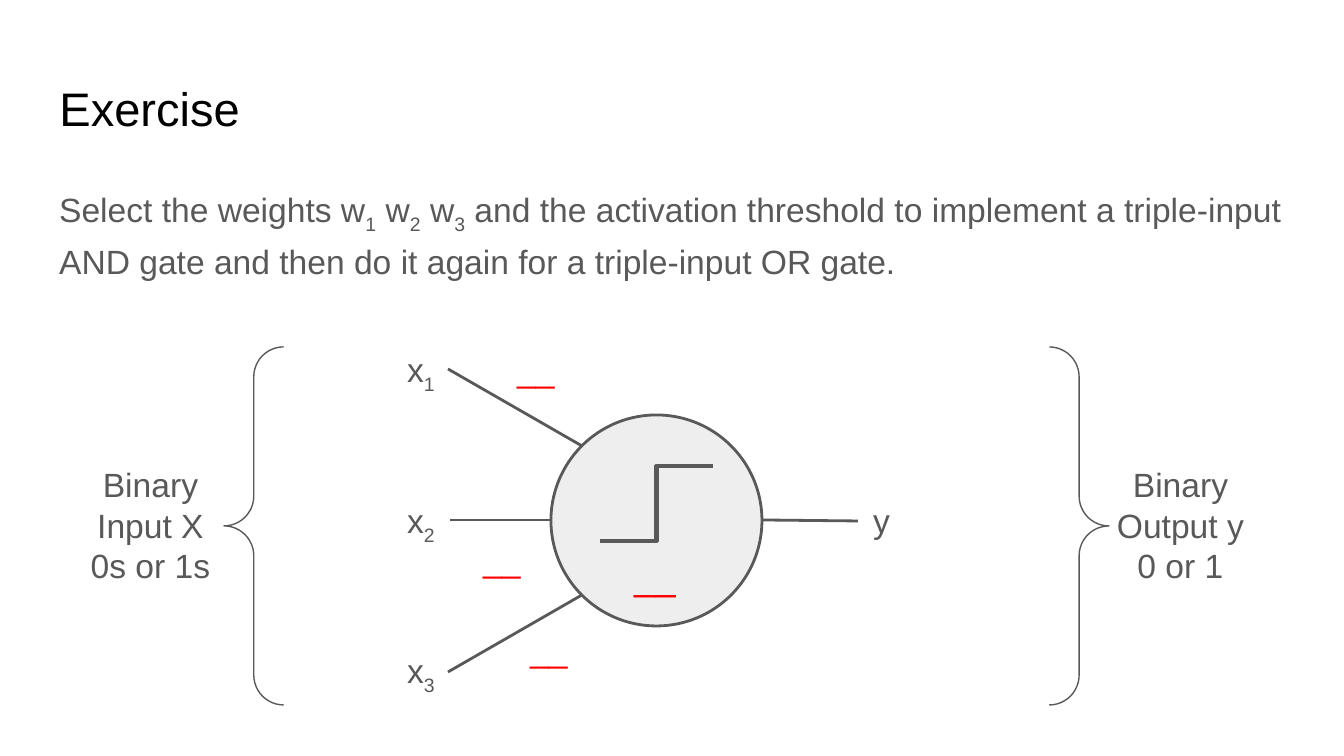
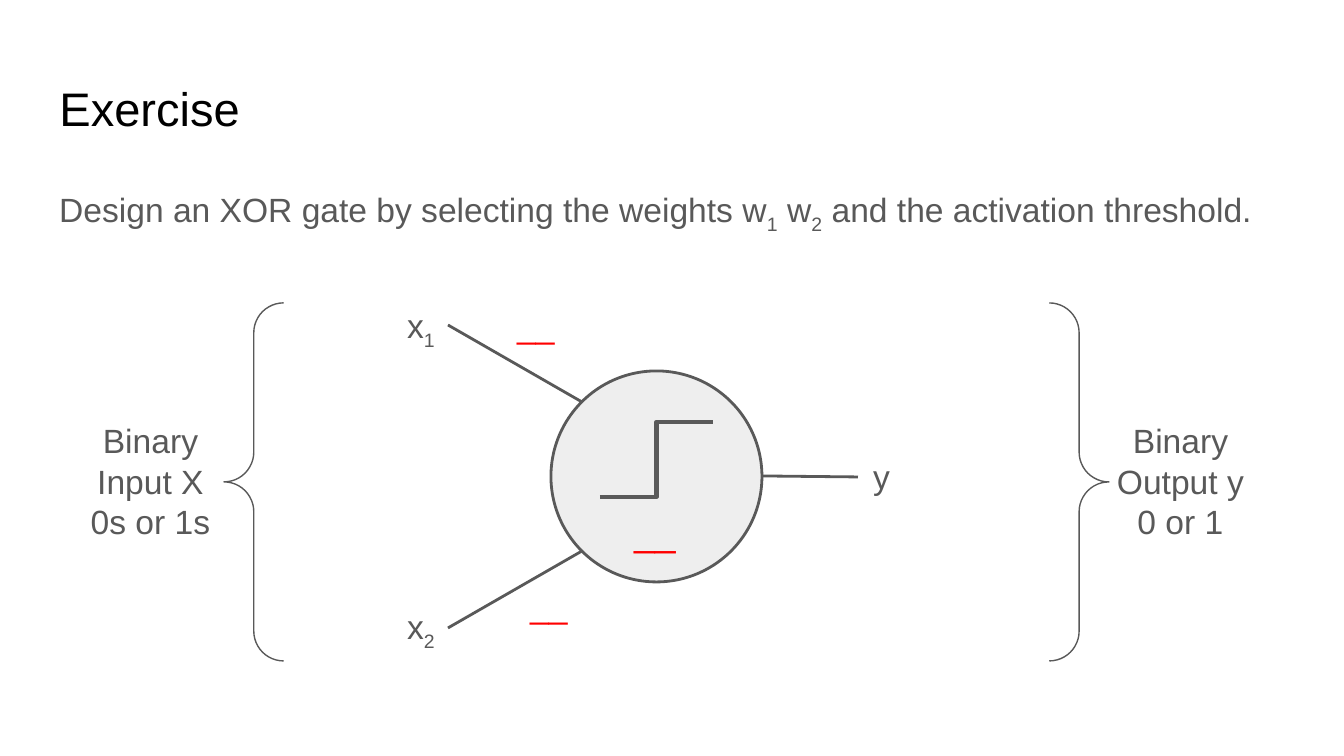
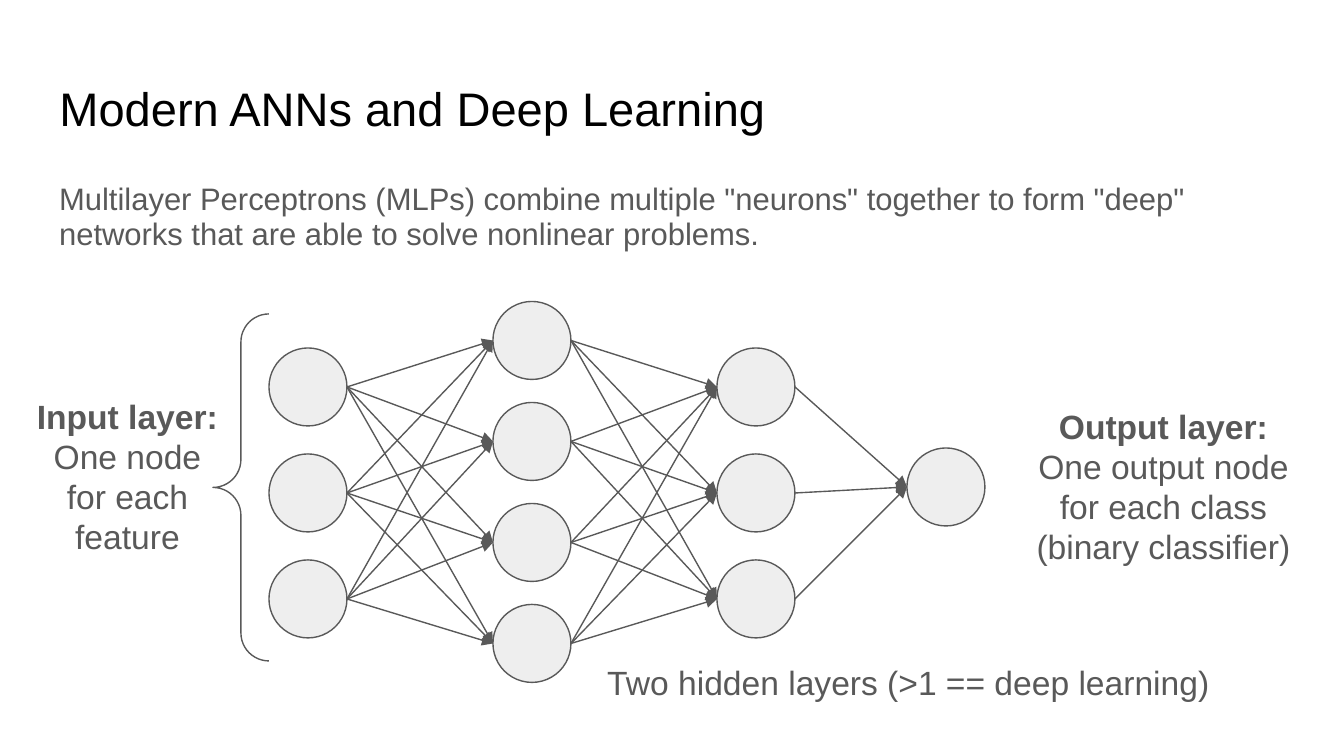
"""Build three slides on perceptron exercises and multilayer networks."""
from itertools import product

from lxml import etree
from pptx import Presentation
from pptx.dml.color import RGBColor
from pptx.enum import shapes, text
from pptx.oxml.ns import qn
from pptx.util import Pt

PX = 914400 / 134.4
FONT = "Arial"
COLORS = {"title": "000000", "ink": "595959", "node": "EEEEEE", "blank": "FF0000"}
LEFT, CENTER = text.PP_ALIGN.LEFT, text.PP_ALIGN.CENTER
TITLE_BOX = (46, 66, 1253, 85)

EXERCISES = [
    {
        "title": "Exercise",
        "body": "Select the weights w~1~ w~2~ w~3~ and the activation threshold to implement "
                "a triple-input AND gate and then do it again for a triple-input OR gate.",
        "body_height": 144,
        "top": 347,
        "inputs": ["upper", "middle", "lower"],
    },
    {
        "title": "Exercise",
        "body": "Design an XOR gate by selecting the weights w~1~ w~2~ and the activation threshold.",
        "body_height": 99,
        "top": 303,
        "inputs": ["upper", "lower"],
    },
]
INPUT_PLACES = {
    "upper": {"label": -11, "line": (582, 99, 448, 22), "blank": (504, -11)},
    "middle": {"label": 140, "line": (551, 173, 450, 173), "blank": (470, 179)},
    "lower": {"label": 290, "line": (582, 248, 448, 325), "blank": (517, 269)},
}
SIDE_LABELS = [(65, "Binary Input X\n0s or 1s"), (1095, "Binary Output y\n0 or 1")]

NETWORK = {
    "title": "Modern ANNs and Deep Learning",
    "body": 'Multilayer Perceptrons (MLPs) combine multiple "neurons" together to form "deep" '
            "networks that are able to solve nonlinear problems.",
    "layers": [(269, 3, 106, 493), (493, 4, 101, 492), (717, 3, 106, 493), (907, 1, 0, 487)],
    "labels": [
        ((1019, 392, 289, 190),
         ["Output layer:", "One output node", "for each class\n(binary classifier)"]),
        ((23, 382, 209, 190), ["Input layer:", "One node", "for each\nfeature"]),
    ],
    "caption": "Two hidden layers (>1 == deep learning)",
}
NODE = 78


def emu(*lengths):
    """Turn px lengths into EMU."""
    return [round(length * PX) for length in lengths]


def rgb(name):
    """Look up a named colour."""
    return RGBColor.from_string(COLORS[name])


def style_font(font, size, color, bold=False):
    """Set the look of a font."""
    font.name, font.size, font.bold = FONT, Pt(size), bold
    font.color.rgb = rgb(color)


def fill_paragraph(paragraph, content):
    """Write text with line breaks and ~subscripts~."""
    for index, piece in enumerate(content.split("~")):
        for number, line in enumerate(piece.split("\n")):
            if number:
                paragraph.add_line_break()
            if line:
                run = paragraph.add_run()
                run.text = line
                if index % 2:
                    run._r.get_or_add_rPr().set("baseline", "-25000")


def add_text(slide, box, paragraphs, size=18, color="ink", align=LEFT, bold_first=False, grow=True):
    """Add a text box with one paragraph per string."""
    frame = slide.shapes.add_textbox(*emu(*box)).text_frame
    frame.word_wrap = True
    frame.auto_size = text.MSO_AUTO_SIZE.SHAPE_TO_FIT_TEXT if grow else text.MSO_AUTO_SIZE.NONE
    frame.margin_left = frame.margin_right = frame.margin_top = frame.margin_bottom = Pt(7.2)
    for index, content in enumerate(paragraphs):
        paragraph = frame.add_paragraph() if index else frame.paragraphs[0]
        fill_paragraph(paragraph, content)
        paragraph.alignment = align
        style_font(paragraph.font, size, color, bold_first and index == 0)
    return frame


def add_shape(slide, kind, box, width=0.75, fill=None):
    """Add an outlined preset shape."""
    shape = slide.shapes.add_shape(kind, *emu(*box))
    shape.shadow.inherit = False
    if fill:
        shape.fill.solid()
        shape.fill.fore_color.rgb = rgb(fill)
    else:
        shape.fill.background()
    shape.line.color.rgb = rgb("ink")
    shape.line.width = Pt(width)
    return shape


def add_line(slide, ends, width=0.75, kind=shapes.MSO_CONNECTOR.STRAIGHT, arrow=False):
    """Add a connector, with an arrowhead at its end if asked."""
    connector = slide.shapes.add_connector(kind, *emu(*ends))
    connector.line.color.rgb = rgb("ink")
    connector.line.width = Pt(width)
    if arrow:
        etree.SubElement(connector.line._get_or_add_ln(), qn("a:tailEnd"), type="triangle")
    etree.SubElement(connector._element.spPr, qn("a:effectLst"))


def add_slide(presentation, title, body, body_height, size=18, spacing=1.15):
    """Add a slide with its title and body text."""
    slide = presentation.slides.add_slide(presentation.slide_layouts[5])
    shape = slide.shapes.title
    shape.left, shape.top, shape.width, shape.height = emu(*TITLE_BOX)
    frame = shape.text_frame
    frame.text = title
    frame.auto_size = text.MSO_AUTO_SIZE.NONE
    frame.vertical_anchor = text.MSO_ANCHOR.TOP
    frame.margin_left = frame.margin_right = frame.margin_top = frame.margin_bottom = Pt(7.2)
    frame.paragraphs[0].alignment = LEFT
    style_font(frame.paragraphs[0].font, 25.2, "title")
    paragraph = add_text(slide, (46, 169, 1253, body_height), [body], size, grow=False).paragraphs[0]
    paragraph.line_spacing = spacing
    paragraph.space_after = Pt(12)
    return slide


def build_exercise(presentation, exercise):
    """Draw a single neuron with blanks for its weights and threshold."""
    slide = add_slide(presentation, exercise["title"], exercise["body"], exercise["body_height"])
    top = exercise["top"]
    add_shape(slide, shapes.MSO_SHAPE.DOUBLE_BRACE, (224, top, 885, 358))
    add_shape(slide, shapes.MSO_SHAPE.OVAL, (551, top + 68, 211, 211), 1.5, "node")
    add_line(slide, (600, top + 194, 713, top + 119), 2.25, shapes.MSO_CONNECTOR.ELBOW)
    add_text(slide, (616, top + 193, 78, 73), ["__"], 20, "blank", CENTER)
    for number, name in enumerate(exercise["inputs"], 1):
        place = INPUT_PLACES[name]
        x1, y1, x2, y2 = place["line"]
        add_line(slide, (x1, top + y1, x2, top + y2), 1.5)
        add_text(slide, (394, top + place["label"], 65, 67), [f"x~{number}~"])
        blank_left, blank_top = place["blank"]
        add_text(slide, (blank_left, top + blank_top, 65, 67), ["__"], color="blank")
    add_line(slide, (762, top + 173, 858, top + 174), 1.5)
    add_text(slide, (849, top + 140, 65, 67), ["y"], align=CENTER)
    for left, label in SIDE_LABELS:
        add_text(slide, (left, top + 104, 171, 149), [label], align=CENTER)


def build_network(presentation):
    """Draw the fully connected layers with their labels."""
    slide = add_slide(presentation, NETWORK["title"], NETWORK["body"], 122, 16.6, 0.95)
    layers = [
        (left, [middle + (index - (count - 1) / 2) * pitch for index in range(count)])
        for left, count, pitch, middle in NETWORK["layers"]
    ]
    for left, centers in layers:
        for center in centers:
            add_shape(slide, shapes.MSO_SHAPE.OVAL, (left, center - NODE / 2, NODE, NODE), fill="node")
    for (left, starts), (next_left, ends) in zip(layers, layers[1:]):
        for start, end in product(starts, ends):
            add_line(slide, (left + NODE, start, next_left, end), arrow=True)
    brace = add_shape(slide, shapes.MSO_SHAPE.LEFT_BRACE, (213, 314, 56, 347))
    brace.adjustments[0] = brace.adjustments[1] = 0.5
    for box, paragraphs in NETWORK["labels"]:
        add_text(slide, box, paragraphs, align=CENTER, bold_first=True)
    add_text(slide, (594, 649, 671, 67), [NETWORK["caption"]])


def main():
    """Build and save the presentation."""
    presentation = Presentation()
    presentation.slide_width, presentation.slide_height = emu(1344, 756)
    for exercise in EXERCISES:
        build_exercise(presentation, exercise)
    build_network(presentation)
    presentation.save("out.pptx")


if __name__ == "__main__":
    main()
